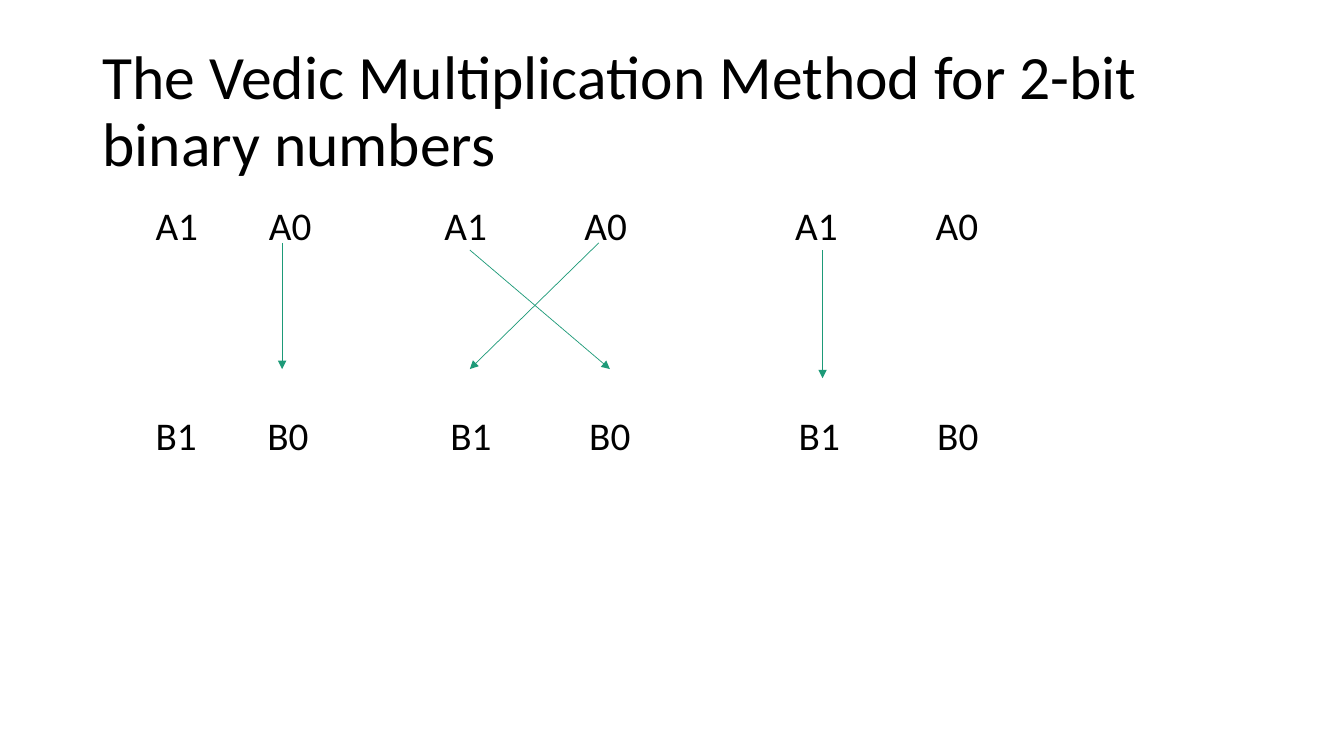
from lxml.etree import SubElement
from pptx import Presentation
from pptx.dml.color import RGBColor
from pptx.enum.shapes import MSO_CONNECTOR
from pptx.enum.text import MSO_ANCHOR
from pptx.oxml.ns import qn
from pptx.util import Cm, Pt

BLACK = RGBColor(0x00, 0x00, 0x00)
GREEN = RGBColor(0x1D, 0x9A, 0x78)
FONT = "Calibri"

TITLE = "The Vedic Multiplication Method for 2-bit binary numbers"
OPERANDS = [
    (["A1", "A0"] * 3, [1.34, 4.2, 8.62, 12.15, 17.46, 21.0], 10),
    (["B1", "B0"] * 3, [1.34, 4.16, 8.77, 12.27, 17.55, 21.04], 120),
]
ARROWS = [
    ((7.11, 6.12), (7.11, 9.3)),
    ((15.09, 6.12), (11.84, 9.3)),
    ((11.84, 6.3), (15.37, 9.3)),
    ((20.73, 6.3), (20.73, 9.53)),
]
LEFT, WIDTH = 2.33, 29.21


def add_text(tf, text, size, before=0, tabs=(), first=False):
    p = tf.paragraphs[0] if first else tf.add_paragraph()
    p.line_spacing = 0.9
    p.space_before = Pt(before)
    if tabs:
        stops = SubElement(p._p.get_or_add_pPr(), qn("a:tabLst"))
        for pos in tabs:
            SubElement(stops, qn("a:tab"), pos=str(Cm(pos)), algn="l")
    r = p.add_run()
    r.text = text
    r.font.name = FONT
    r.font.size = Pt(size)
    r.font.color.rgb = BLACK


def add_box(top, height, anchor):
    sp = s.shapes.add_textbox(Cm(LEFT), Cm(top), Cm(WIDTH), Cm(height))
    tf = sp.text_frame
    tf.word_wrap = True
    tf.vertical_anchor = anchor
    return tf


def add_arrow(start, end):
    points = [Cm(v) for v in start + end]
    line = s.shapes.add_connector(MSO_CONNECTOR.STRAIGHT, *points)
    line.line.color.rgb = GREEN
    line.line.width = Pt(0.5)
    SubElement(line.line._get_or_add_ln(), qn("a:tailEnd"), type="triangle")
    SubElement(line._element.spPr, qn("a:effectLst"))


prs = Presentation()
prs.slide_width, prs.slide_height = Cm(33.87), Cm(19.05)
s = prs.slides.add_slide(prs.slide_layouts[6])

add_text(add_box(1.01, 3.68, MSO_ANCHOR.MIDDLE), TITLE, 44, first=True)

tf = add_box(5.07, 12.09, MSO_ANCHOR.TOP)
for i, (bits, tabs, before) in enumerate(OPERANDS):
    text = "".join("\t" + bit for bit in bits)
    add_text(tf, text, 28, before=before, tabs=tabs, first=i == 0)

for start, end in ARROWS:
    add_arrow(start, end)

prs.save("out.pptx")
